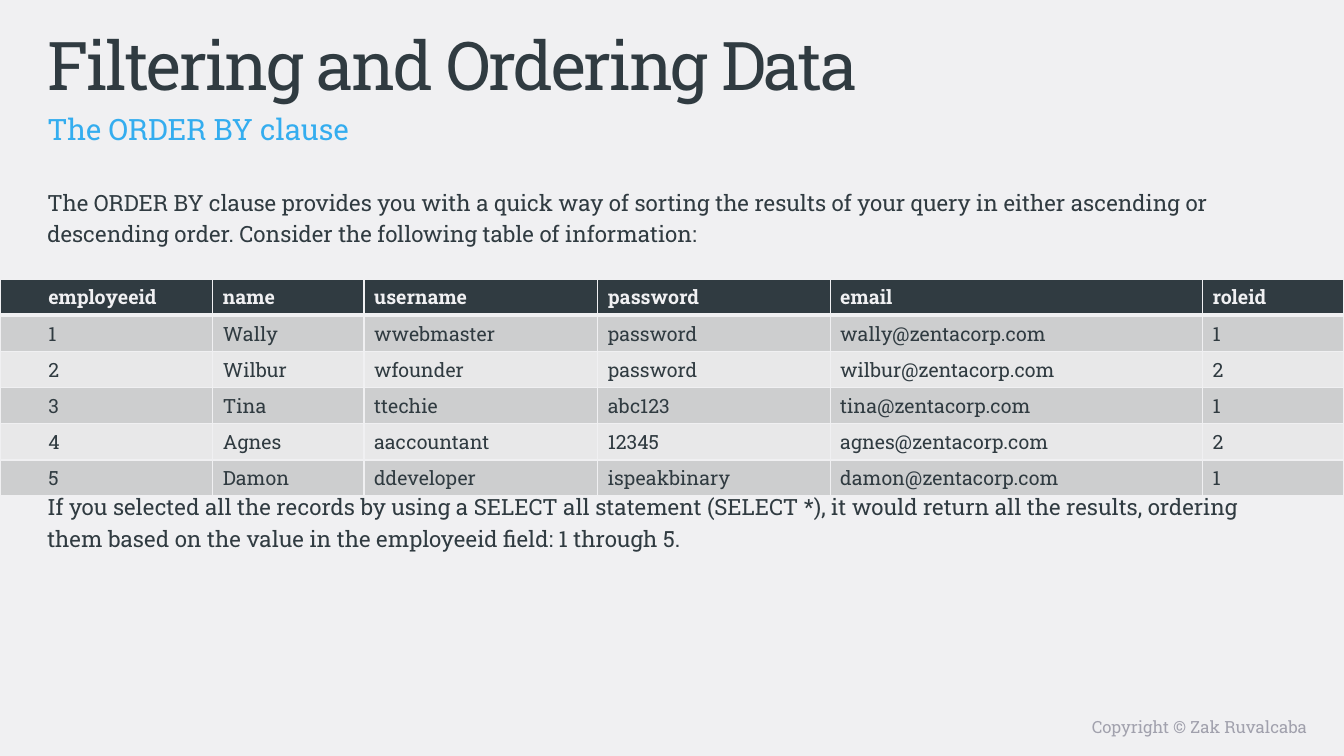
from dataclasses import dataclass

from lxml import etree
from pptx import Presentation
from pptx.dml.color import RGBColor
from pptx.enum.text import MSO_ANCHOR, MSO_AUTO_SIZE, PP_ALIGN
from pptx.oxml.ns import qn
from pptx.util import Pt

LEFT, RIGHT = PP_ALIGN.LEFT, PP_ALIGN.RIGHT
TOP, MIDDLE = MSO_ANCHOR.TOP, MSO_ANCHOR.MIDDLE
FIXED_SIZE = MSO_AUTO_SIZE.NONE
TWO_CONTENT_LAYOUT = 3


@dataclass(frozen=True)
class Theme:
    font: str = "Roboto Slab"
    background: str = "F0F0F2"
    dark: str = "303B41"
    accent: str = "34ADEF"
    muted: str = "A1A1AD"
    odd_row: str = "CDCECF"
    even_row: str = "E8E8E9"
    title_size: float = 48
    subtitle_size: float = 21
    body_size: float = 16
    table_size: float = 14
    footer_size: float = 12
    line_spacing: float = 1.17


THEME = Theme()
MARGIN = 26.6
COLUMN_WIDTHS = (152, 108, 167, 166, 266, 101)
ROW_HEIGHT = 25.8
CELL_INSET = 7.2
FIRST_COLUMN_INSET = 34.5
TABLE_GAP = 172.5

INTRODUCTION = (
    "The ORDER BY clause provides you with a quick way of sorting the results "
    "of your query in either ascending or descending order. Consider the "
    "following table of information:"
)
CONCLUSION = (
    "If you selected all the records by using a SELECT all statement "
    "(SELECT *), it would return all the results, ordering them based on the "
    "value in the employeeid field: 1 through 5."
)
EMPLOYEES = (
    ("employeeid", "name", "username", "password", "email", "roleid"),
    ("1", "Wally", "wwebmaster", "password", "wally@zentacorp.com", "1"),
    ("2", "Wilbur", "wfounder", "password", "wilbur@zentacorp.com", "2"),
    ("3", "Tina", "ttechie", "abc123", "tina@zentacorp.com", "1"),
    ("4", "Agnes", "aaccountant", "12345", "agnes@zentacorp.com", "2"),
    ("5", "Damon", "ddeveloper", "ispeakbinary", "damon@zentacorp.com", "1"),
)


def add_run(paragraph, text, size, color, bold=False):
    run = paragraph.add_run()
    run.text = text
    run.font.name = THEME.font
    run.font.size = Pt(size)
    run.font.bold = bold
    run.font.color.rgb = RGBColor.from_string(color)
    return run


def place(shape, left, top, width, height, anchor=TOP):
    shape.left, shape.top = Pt(left), Pt(top)
    shape.width, shape.height = Pt(width), Pt(height)
    frame = shape.text_frame
    frame.word_wrap = True
    frame.auto_size = FIXED_SIZE
    frame.vertical_anchor = anchor
    return frame


def fill_title(shape, text):
    frame = place(shape, MARGIN, 15.1, 846.7, 56.9)
    frame.margin_top = Pt(1.7)
    paragraph = frame.paragraphs[0]
    paragraph.alignment = LEFT
    run = add_run(paragraph, text, THEME.title_size, THEME.dark)
    run.font._element.set("spc", "-150")


def fill_body(shape, box, texts, size, color, gap=0):
    frame = place(shape, *box)
    for index, text in enumerate(texts):
        paragraph = frame.add_paragraph() if index else frame.paragraphs[0]
        paragraph.alignment = LEFT
        paragraph.line_spacing = THEME.line_spacing
        paragraph.space_before = Pt(gap if index else 0)
        properties = paragraph._p.get_or_add_pPr()
        properties.set("marL", "0")
        properties.set("indent", "0")
        etree.SubElement(properties, qn("a:buNone"))
        add_run(paragraph, text, size, color)


def set_borders(cell, bottom_width):
    properties = cell._tc.get_or_add_tcPr()
    widths = {"a:lnL": 1, "a:lnR": 1, "a:lnT": 1, "a:lnB": bottom_width}
    for index, (tag, width) in enumerate(widths.items()):
        line = etree.Element(qn(tag), w=str(Pt(width)))
        fill = etree.SubElement(line, qn("a:solidFill"))
        etree.SubElement(fill, qn("a:srgbClr"), val=THEME.background)
        properties.insert(index, line)


def fill_cell(cell, text, row, column):
    header = row == 0
    row_color = THEME.odd_row if row % 2 else THEME.even_row
    cell.fill.solid()
    cell.fill.fore_color.rgb = RGBColor.from_string(
        THEME.dark if header else row_color
    )
    cell.margin_left = Pt(CELL_INSET if column else FIRST_COLUMN_INSET)
    set_borders(cell, 3 if header else 1)
    color = THEME.background if header else THEME.dark
    add_run(cell.text_frame.paragraphs[0], text, THEME.table_size, color, header)


def add_employee_table(slide, top):
    table = slide.shapes.add_table(
        len(EMPLOYEES), len(COLUMN_WIDTHS), Pt(0), Pt(top),
        Pt(sum(COLUMN_WIDTHS)), Pt(ROW_HEIGHT * len(EMPLOYEES)),
    ).table
    for column, width in zip(table.columns, COLUMN_WIDTHS):
        column.width = Pt(width)
    for row, values in enumerate(EMPLOYEES):
        table.rows[row].height = Pt(ROW_HEIGHT)
        for column, text in enumerate(values):
            fill_cell(table.cell(row, column), text, row, column)


def add_footer(slide, text):
    shape = slide.shapes.add_textbox(0, 0, 0, 0)
    paragraph = place(shape, 480.2, 508.3, 460.8, 22.3, MIDDLE).paragraphs[0]
    paragraph.alignment = RIGHT
    add_run(paragraph, text, THEME.footer_size, THEME.muted)


def main():
    presentation = Presentation()
    presentation.slide_width, presentation.slide_height = Pt(960), Pt(540)
    layout = presentation.slide_layouts[TWO_CONTENT_LAYOUT]
    slide = presentation.slides.add_slide(layout)
    background = slide.background.fill
    background.solid()
    background.fore_color.rgb = RGBColor.from_string(THEME.background)

    title, body, subtitle = slide.placeholders
    fill_title(title, "Filtering and Ordering Data")
    fill_body(body, (MARGIN, 128.2, 905, 368.6), (INTRODUCTION, CONCLUSION),
              THEME.body_size, THEME.dark, TABLE_GAP)
    fill_body(subtitle, (MARGIN, 71.3, 846.7, 28.1), ("The ORDER BY clause",),
              THEME.subtitle_size, THEME.accent)
    add_employee_table(slide, 199.4)
    add_footer(slide, "Copyright © Zak Ruvalcaba")
    presentation.save("out.pptx")


main()
